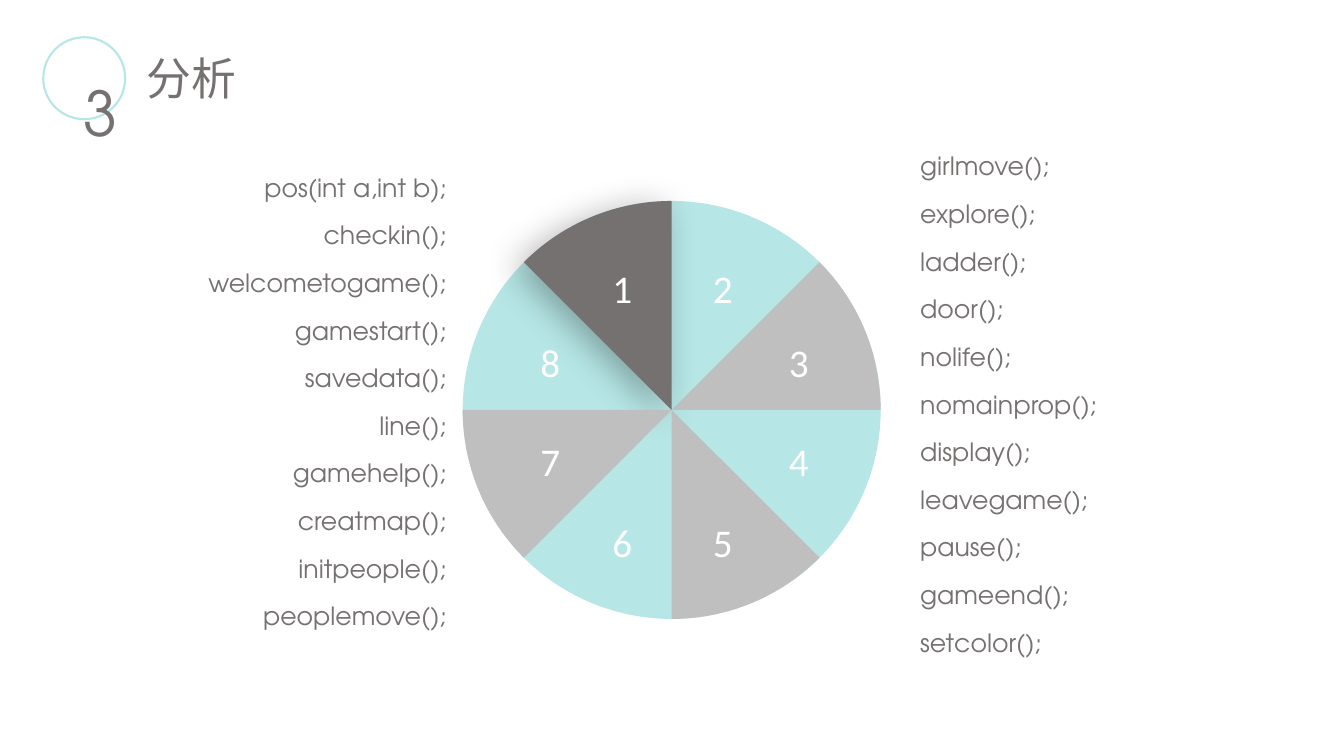
import math
from lxml import etree
from pptx import Presentation
from pptx import util as u
from pptx.dml.color import RGBColor
from pptx.enum import shapes, text
from pptx.oxml import ns

WIDTH, HEIGHT = u.Inches(13.333), u.Inches(7.5)
TEAL, DARK, GREY, WHITE = "B6E6E6", "767171", "BFBFBF", "FFFFFF"
LIST_FONT = "TeX Gyre Adventor"
HUB = (49.98, 54.23)
RADIUS = 15.55
COLUMNS = (40.95, 46.31, 53.78, 59.44)
ROWS = (38.07, 47.8, 61, 71.67)
NUMBER_CELLS = ((1, 0), (2, 0), (3, 1), (3, 2), (2, 3), (1, 3), (0, 2), (0, 1))
SLICES = ((90, DARK), (270, GREY), (0, GREY), (180, GREY))
LEFT_CALLS = ("pos(int a,int b);", "checkin();", "welcometogame();", "gamestart();",
              "savedata();", "line();", "gamehelp();", "creatmap();", "initpeople();",
              "peoplemove();")
RIGHT_CALLS = ("girlmove();", "explore();", "ladder();", "door();", "nolife();",
               "nomainprop();", "display();", "leavegame();", "pause();", "gameend();",
               "setcolor();")


def colour(value):
    """Turn a hex string into a colour."""
    return RGBColor.from_string(value)


def area(left, top, width, height):
    """Turn percentages of the slide into a position and size."""
    return [round(share * side / 100) for share, side in
            zip((left, top, width, height), (WIDTH, HEIGHT, WIDTH, HEIGHT))]


def paint(shape, fill=None, line=None):
    """Set fill and outline, without a shadow."""
    shape.shadow.inherit = False
    if fill:
        shape.fill.solid()
        shape.fill.fore_color.rgb = colour(fill)
    else:
        shape.fill.background()
    if line:
        shape.line.color.rgb = colour(line)
        shape.line.width = u.Pt(1.5)
    else:
        shape.line.fill.background()


def add_circle(slide, left, top, diameter, **look):
    """Add a circle whose diameter is a percentage of the slide width."""
    place = area(left, top, diameter, diameter * WIDTH / HEIGHT)
    paint(slide.shapes.add_shape(shapes.MSO_SHAPE.OVAL, *place), **look)


def add_slice(slide, start, fill):
    """Add an eighth of the wheel, counted anticlockwise from the start angle."""
    x, y, radius, _ = area(*HUB, RADIUS, 0)
    rim = [math.radians(start + 1.5 * step) for step in range(31)]
    builder = slide.shapes.build_freeform(x, y)
    builder.add_line_segments([(round(x + radius * math.cos(angle)),
                                round(y - radius * math.sin(angle))) for angle in rim])
    wedge = builder.convert_to_shape()
    paint(wedge, fill)
    return wedge


def add_shadow(shape):
    """Give a shape a soft shadow towards the lower left."""
    effects = shape._element.spPr.find(ns.qn("a:effectLst"))
    shadow = etree.SubElement(effects, ns.qn("a:outerShdw"), blurRad=str(u.Pt(25)),
                              dist=str(u.Pt(8)), dir=str(150 * 60000),
                              algn="ctr", rotWithShape="0")
    black = etree.SubElement(shadow, ns.qn("a:srgbClr"), val="000000")
    etree.SubElement(black, ns.qn("a:alpha"), val="29000")


def write(box, lines, size, font, fill=DARK, align=text.PP_ALIGN.LEFT,
          anchor=text.MSO_ANCHOR.MIDDLE, margins=(0, 0), wrap=True, pitch=None):
    """Fill a box with one paragraph per line."""
    frame = box.text_frame
    frame.auto_size = text.MSO_AUTO_SIZE.NONE
    frame.word_wrap, frame.vertical_anchor = wrap, anchor
    frame.margin_left = frame.margin_right = u.Inches(margins[0])
    frame.margin_top = frame.margin_bottom = u.Inches(margins[1])
    for index, line in enumerate(lines):
        para = frame.add_paragraph() if index else frame.paragraphs[0]
        para.alignment = align
        if pitch:
            para.line_spacing = u.Pt(pitch)
            if index:
                para.space_before = u.Pt(pitch)
        span = para.add_run()
        span.text = line
        span.font.size, span.font.name = u.Pt(size), font
        span.font.color.rgb = colour(fill)


def add_text(slide, place, lines, size, font, **look):
    """Add a text box at a place given in percentages."""
    write(slide.shapes.add_textbox(*area(*place)), lines, size, font, **look)


def add_heading(slide):
    """Format the title and add the ringed section number."""
    title = slide.shapes.title
    title.left, title.top, title.width, title.height = area(10.88, 7.33, 18.3, 5.87)
    write(title, ["分析"], 32, "Roboto Condensed")
    add_circle(slide, 3.22, 4.93, 6.1, line=TEAL)
    add_text(slide, (6.22, 11.73, 2.4, 6), ["3"], 44, LIST_FONT, wrap=False)


def add_wheel(slide):
    """Add the wheel of eight numbered slices."""
    add_circle(slide, HUB[0] - RADIUS, HUB[1] - RADIUS * WIDTH / HEIGHT,
               2 * RADIUS, fill=TEAL)
    for start, fill in SLICES:
        wedge = add_slice(slide, start, fill)
        if fill == DARK:
            add_shadow(wedge)
    width, height = 2.48, 4.13
    for number, (column, row) in enumerate(NUMBER_CELLS, 1):
        place = (COLUMNS[column] - width / 2, ROWS[row] - height / 2, width, height)
        add_text(slide, place, [str(number)], 28, "Calibri", fill=WHITE,
                 align=text.PP_ALIGN.CENTER)


def main():
    """Build and save the slide."""
    deck = Presentation()
    deck.slide_width, deck.slide_height = WIDTH, HEIGHT
    page = deck.slides.add_slide(deck.slide_layouts.get_by_name("Title Only"))
    add_heading(page)
    add_wheel(page)
    listing = {"anchor": text.MSO_ANCHOR.TOP, "pitch": 17}
    add_text(page, (6.9, 23.6, 26.33, 61.07), LEFT_CALLS, 18, LIST_FONT,
             align=text.PP_ALIGN.RIGHT, **listing)
    add_text(page, (67.73, 20.13, 20.85, 68.13), RIGHT_CALLS, 18, LIST_FONT,
             margins=(0.1, 0.05), **listing)
    deck.save("out.pptx")


if __name__ == "__main__":
    main()
